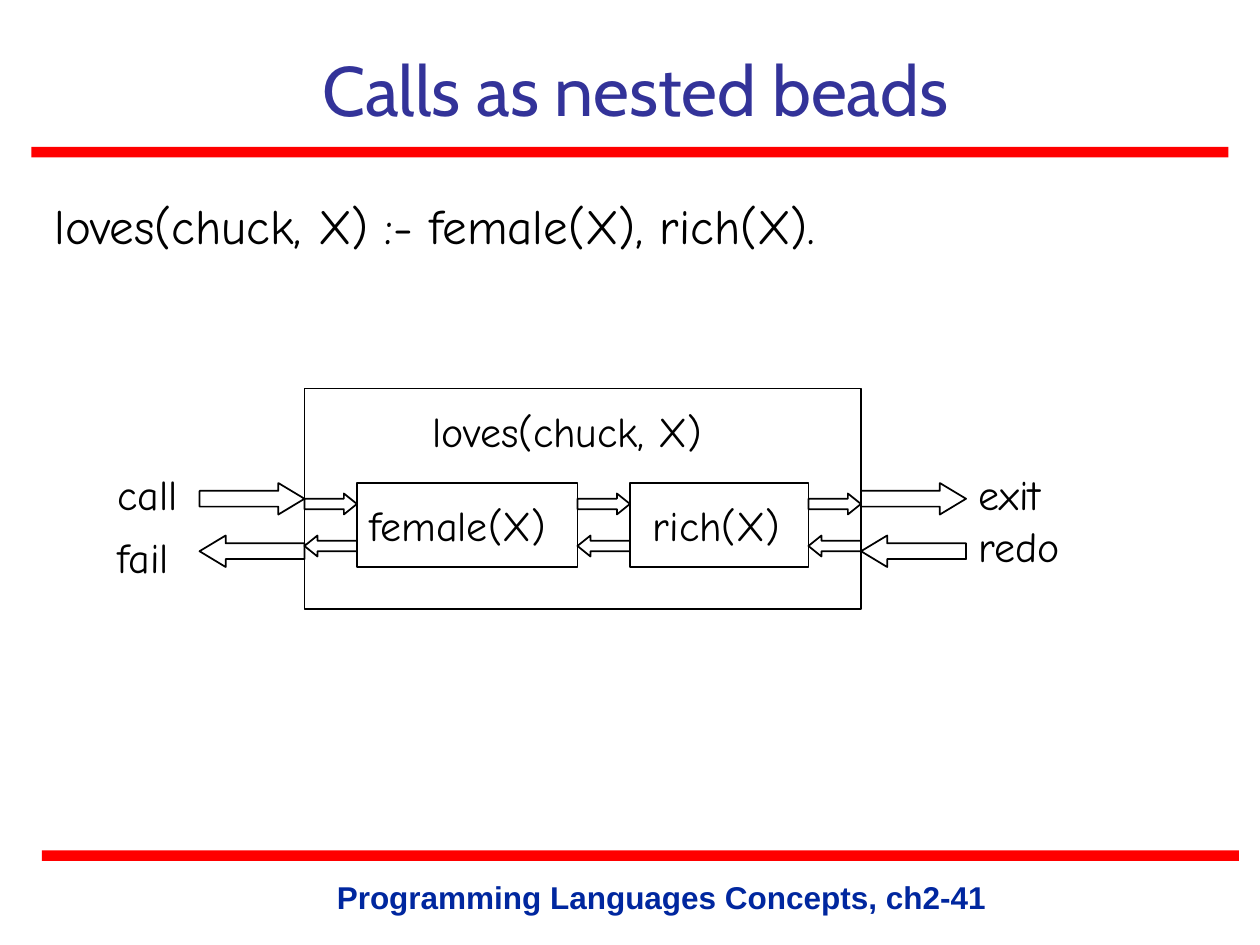
"""Build a slide that shows Prolog calls as nested beads."""
import pptx
import pptx.util
import pptx.dml.color
import pptx.enum.shapes
import pptx.enum.text

KIND = pptx.enum.shapes.MSO_SHAPE
ALIGN = pptx.enum.text.PP_ALIGN
ANCHOR = pptx.enum.text.MSO_ANCHOR
FIT = pptx.enum.text.MSO_AUTO_SIZE
COLS, ROWS = 120, 90


def tint(code):
    return pptx.dml.color.RGBColor.from_string(code)


def write(frame, text, size=24, font="Comic Neue", color="000000",
          bold=False, align=ALIGN.LEFT, anchor=ANCHOR.TOP):
    frame.word_wrap = True
    frame.auto_size = FIT.NONE
    frame.vertical_anchor = anchor
    par = frame.paragraphs[0]
    par.alignment = align
    run = par.add_run()
    run.text = text
    run.font.size = pptx.util.Pt(size)
    run.font.name = font
    run.font.bold = bold
    run.font.color.rgb = tint(color)


class Sheet:
    def __init__(self, deck):
        self.slide = deck.slides.add_slide(deck.slide_layouts[5])
        self.col = deck.slide_width / COLS
        self.row = deck.slide_height / ROWS
        self.ink = "000000"
        self.pen = pptx.util.Pt(1)

    def place(self, left, top, width, height):
        return (round(left * self.col), round(top * self.row),
                round(width * self.col), round(height * self.row))

    def title(self, text, *spot, **style):
        head = self.slide.shapes.title
        head.left, head.top, head.width, head.height = self.place(*spot)
        write(head.text_frame, text, **style)

    def text(self, text, *spot, **style):
        box = self.slide.shapes.add_textbox(*self.place(*spot))
        write(box.text_frame, text, **style)

    def shape(self, kind, *spot):
        item = self.slide.shapes.add_shape(kind, *self.place(*spot))
        item.shadow.inherit = False
        return item

    def bar(self, *spot, color="FF0000"):
        item = self.shape(KIND.RECTANGLE, *spot)
        item.fill.solid()
        item.fill.fore_color.rgb = tint(color)
        item.line.fill.background()

    def outline(self, kind, *spot):
        item = self.shape(kind, *spot)
        item.fill.background()
        item.line.color.rgb = tint(self.ink)
        item.line.width = self.pen
        return item

    def box(self, *spot):
        self.outline(KIND.RECTANGLE, *spot)

    def arrow(self, kind, *spot, tip):
        item = self.outline(kind, *spot)
        item.adjustments[0] = 0.5
        item.adjustments[1] = tip


deck = pptx.Presentation()
deck.slide_width = pptx.util.Inches(10)
deck.slide_height = pptx.util.Inches(7.5)
sheet = Sheet(deck)

for left, top in ((3, 14), (4, 81)):
    sheet.bar(left, top, 114, 1)
sheet.text("Programming Languages Concepts, ch2-41", 26, 83, 74, 4.8,
           size=18, font="Arial", color="00279F", bold=True, align=ALIGN.CENTER)
sheet.title("Calls as nested beads", 15, 3, 91, 10, size=40, font="Cabin",
            color="333399", align=ALIGN.CENTER, anchor=ANCHOR.BOTTOM)
sheet.text("loves(chuck, X) :- female(X), rich(X).", 4, 18, 108, 6.8, size=28)

for left, width in ((34, 21), (60, 17)):
    sheet.box(left, 46, width, 8)
for left in (29, 55, 77):
    sheet.arrow(KIND.RIGHT_ARROW, left, 47, 5, 2, tip=0.62)
    sheet.arrow(KIND.LEFT_ARROW, left, 51, 5, 2, tip=0.62)

sheet.box(29, 37, 53, 21)
for left in (19, 82):
    sheet.arrow(KIND.RIGHT_ARROW, left, 46, 10, 3, tip=0.83)
    sheet.arrow(KIND.LEFT_ARROW, left, 51, 10, 3, tip=0.83)

labels = (
    ("loves(chuck, X)", 40, 38, 32),
    ("female(X)", 34, 47, 24),
    ("rich(X)", 61, 47, 20),
    ("call", 10, 44, 12),
    ("fail", 10, 50, 10),
    ("exit", 92, 44, 16),
    ("redo", 92, 49, 11),
)
for text, left, top, width in labels:
    sheet.text(text, left, top, width, 6)

deck.save("out.pptx")
